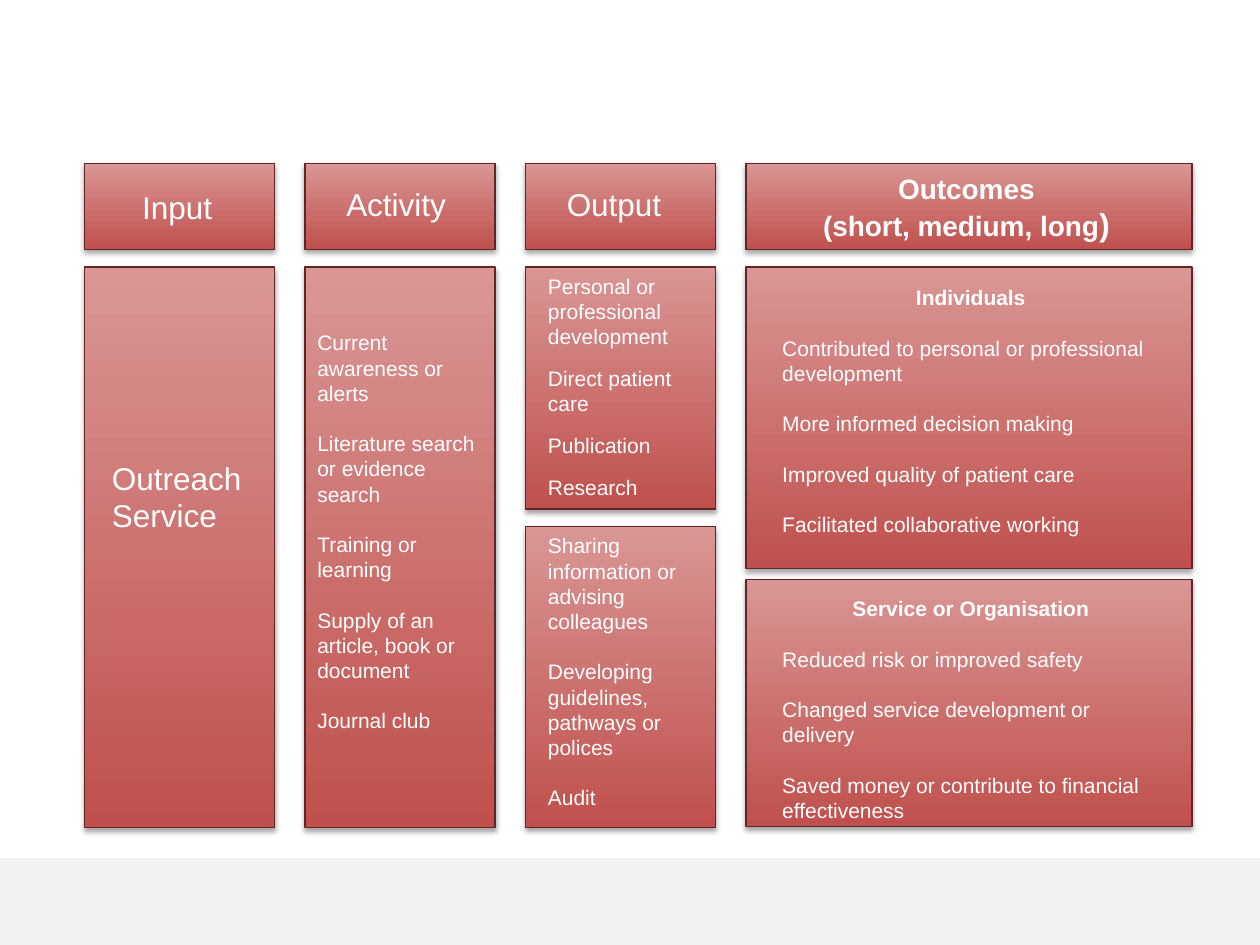
from dataclasses import dataclass

from lxml import etree
from pptx import Presentation
from pptx.dml.color import RGBColor
from pptx.enum.shapes import MSO_SHAPE
from pptx.enum.text import MSO_ANCHOR, PP_ALIGN
from pptx.oxml.ns import qn
from pptx.util import Inches, Pt

RECTANGLE = MSO_SHAPE.RECTANGLE
TOP = MSO_ANCHOR.TOP
LEFT, CENTER = PP_ALIGN.LEFT, PP_ALIGN.CENTER


@dataclass(frozen=True)
class Theme:
    """Colours, type sizes and spacing of the slide."""
    font: str = "Arial"
    text: str = "FFFFFF"
    dark: str = "C0504D"
    light: str = "D99694"
    outline: str = "632523"
    band: str = "F2F2F2"
    heading: int = 18
    outcome: int = 16
    body: int = 12
    tight: int = 8
    leading: float = 1.2


@dataclass(frozen=True)
class Grid:
    """Column and row positions in inches."""
    left: float = 0.67
    step: float = 1.75
    narrow: float = 1.51
    wide: float = 3.54
    header: tuple = (1.3, 0.68)
    full: tuple = (2.12, 4.45)
    output_upper: tuple = (2.12, 1.92)
    output_lower: tuple = (4.18, 2.39)
    outcome_upper: tuple = (2.12, 2.39)
    outcome_lower: tuple = (4.6, 1.96)
    footer: tuple = (6.81, 0.69)


class LogicModel:
    """Draws logic model panels on the current slide."""

    def __init__(self, slide, theme, grid):
        self.slide = slide
        self.theme = theme
        self.grid = grid

    def footer_band(self, width):
        """Draw the plain band along the foot of the slide."""
        top, height = self.grid.footer
        band = self.slide.shapes.add_shape(
            RECTANGLE, 0, Inches(top), Inches(width), Inches(height))
        band.shadow.inherit = False
        band.fill.solid()
        band.fill.fore_color.rgb = RGBColor.from_string(self.theme.band)
        band.line.fill.background()

    def panel(self, column, row, offset, text_size, wide=False):
        """Draw a shaded card and return the text frame grouped with it."""
        left = self.grid.left + column * self.grid.step
        top, height = row
        width = self.grid.wide if wide else self.grid.narrow
        shapes = self.slide.shapes.add_group_shape().shapes
        card = shapes.add_shape(RECTANGLE, Inches(left), Inches(top),
                                Inches(width), Inches(height))
        self.shade(card)
        box = shapes.add_textbox(Inches(left + offset[0]), Inches(top + offset[1]),
                                 Inches(text_size[0]), Inches(text_size[1]))
        frame = box.text_frame
        frame.word_wrap = True
        frame.vertical_anchor = TOP
        return frame

    def shade(self, card):
        """Give a card its gradient, outline and soft shadow."""
        card.fill.gradient()
        card.fill.gradient_angle = 90
        for stop, color in zip(card.fill.gradient_stops, (self.theme.dark, self.theme.light)):
            stop.color.rgb = RGBColor.from_string(color)
        card.line.color.rgb = RGBColor.from_string(self.theme.outline)
        card.line.width = Pt(0.75)
        card.shadow.inherit = False
        effects = card._element.spPr.find(qn("a:effectLst"))
        shadow = etree.SubElement(effects, qn("a:outerShdw"), blurRad=str(Pt(3.1)),
                                  dist=str(Pt(1.8)), dir="5400000", rotWithShape="0")
        color = etree.SubElement(shadow, qn("a:srgbClr"), val="000000")
        etree.SubElement(color, qn("a:alpha"), val="35000")

    def paragraph(self, frame, runs, bold=False, align=LEFT, gap=0):
        """Add a paragraph of (text, size) runs, with a gap above all but the first."""
        first = not frame.paragraphs[0].runs
        paragraph = frame.paragraphs[0] if first else frame.add_paragraph()
        paragraph.alignment = align
        paragraph.line_spacing = Pt(self.theme.leading * max(size for _, size in runs))
        paragraph.space_before = Pt(0 if first else self.theme.leading * gap)
        for text, size in runs:
            run = paragraph.add_run()
            run.text = text
            run.font.name = self.theme.font
            run.font.size = Pt(size)
            run.font.bold = bold
            run.font.color.rgb = RGBColor.from_string(self.theme.text)

    def heading(self, frame, *lines):
        """Write heading lines without gaps."""
        for line in lines:
            self.paragraph(frame, [(line, self.theme.heading)])

    def items(self, frame, entries, gap, title=None):
        """Write spaced entries below an optional bold, centred title."""
        size = self.theme.body
        if title:
            self.paragraph(frame, [(title, size)], bold=True, align=CENTER)
        for entry in entries:
            self.paragraph(frame, [(entry, size)], gap=gap)


def main():
    """Build and save the slide."""
    presentation = Presentation()
    presentation.slide_width, presentation.slide_height = Inches(10), Inches(7.5)
    slide = presentation.slides.add_slide(presentation.slide_layouts[6])
    theme, grid = Theme(), Grid()
    model = LogicModel(slide, theme, grid)
    model.footer_band(10)

    headings = [("Input", (0.36, 0.14)), ("Activity", (0.23, 0.12)), ("Output", (0.23, 0.12))]
    for column, (name, offset) in enumerate(headings):
        model.heading(model.panel(column, grid.header, offset, (1.04, 0.4)), name)

    outcomes = model.panel(3, grid.header, (0.36, 0.01), (2.78, 0.67), wide=True)
    for runs in ([("Outcomes", theme.outcome)],
                 [("(short, medium, long", theme.outcome), (")", theme.heading)]):
        model.paragraph(outcomes, runs, bold=True, align=CENTER)

    model.heading(model.panel(0, grid.full, (0.12, 1.47), (1.26, 0.75)),
                  "Outreach", "Service")

    lists = [
        (1, grid.full, (0, 0.45), (1.51, 3.53), theme.body, None,
         ["Current awareness or alerts", "Literature search or evidence search",
          "Training or learning", "Supply of an article, book or document",
          "Journal club"]),
        (2, grid.output_upper, (0.08, 0), (1.51, 1.69), theme.tight, None,
         ["Personal or professional development", "Direct patient care",
          "Publication", "Research"]),
        (2, grid.output_lower, (0.08, 0), (1.51, 2.54), theme.body, None,
         ["Sharing information or advising colleagues",
          "Developing guidelines, pathways or polices", "Audit"]),
        (3, grid.outcome_upper, (0.19, 0.09), (3.19, 2.12), theme.body, "Individuals",
         ["Contributed to personal or professional development",
          "More informed decision making", "Improved quality of patient care",
          "Facilitated collaborative working"]),
        (3, grid.outcome_lower, (0.19, 0.08), (3.19, 2.12), theme.body,
         "Service or Organisation",
         ["Reduced risk or improved safety", "Changed service development or delivery",
          "Saved money or contribute to financial effectiveness"]),
    ]
    for column, row, offset, text_size, gap, title, entries in lists:
        frame = model.panel(column, row, offset, text_size, wide=title is not None)
        model.items(frame, entries, gap, title)

    presentation.save("out.pptx")


if __name__ == "__main__":
    main()
